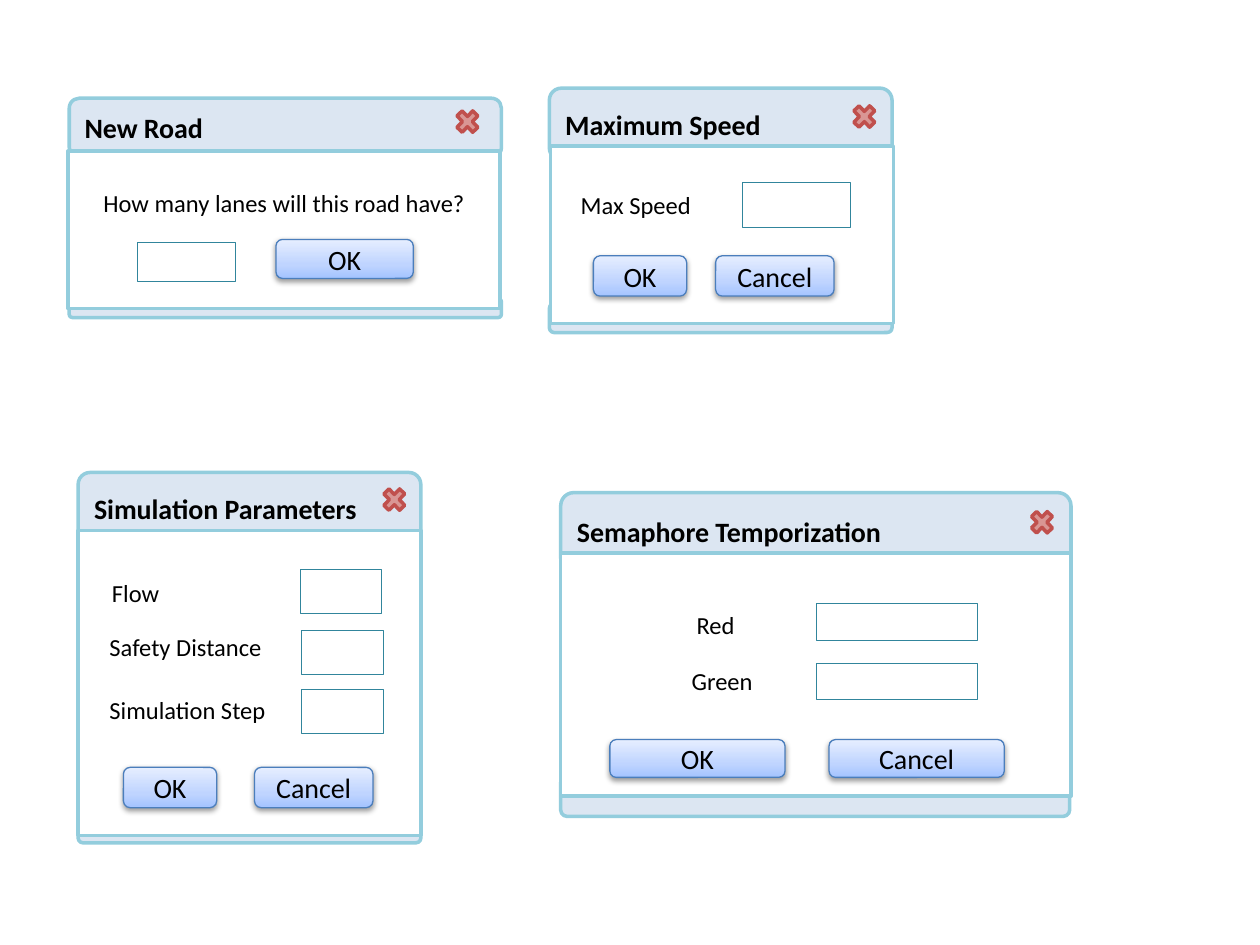
from copy import deepcopy
from dataclasses import dataclass, field

from pptx import Presentation
from pptx.dml.color import RGBColor
from pptx.enum.shapes import MSO_SHAPE
from pptx.enum.text import MSO_ANCHOR, MSO_AUTO_SIZE, PP_ALIGN
from pptx.oxml import parse_xml
from pptx.oxml.ns import nsdecls
from pptx.util import Inches, Pt

RECT, ROUND, CROSS = MSO_SHAPE.RECTANGLE, MSO_SHAPE.ROUNDED_RECTANGLE, MSO_SHAPE.MATH_MULTIPLY
LEFT, CENTER = PP_ALIGN.LEFT, PP_ALIGN.CENTER
TOP, MIDDLE = MSO_ANCHOR.TOP, MSO_ANCHOR.MIDDLE
FIT = MSO_AUTO_SIZE.SHAPE_TO_FIT_TEXT

COLORS = {
    "frame": "DCE6F2", "frame_line": "93CDDD", "white": "FFFFFF", "text": "000000",
    "field_line": "31859C", "button_line": "4B7EBC",
    "close": "D99694", "close_line": "C0504D",
}
BUTTON_STOPS = [(0, "A4C4FF"), (0.35, "BFD4FF"), (1, "E6EEFF")]
SHADOW = (
    f'<a:outerShdw {nsdecls("a")} blurRad="40000" dist="20000" dir="5400000" rotWithShape="0">'
    '<a:srgbClr val="000000"><a:alpha val="38000"/></a:srgbClr></a:outerShdw>'
)

Box = tuple[float, float, float, float]


@dataclass
class Dialog:
    """One dialog window; every box is left, top, width, height in inches."""
    title: str
    header: Box
    body: Box
    footer: Box
    close: tuple[float, float]
    fields: list[Box]
    buttons: list[tuple[str, Box]]
    labels: list[tuple[str, Box]] = field(default_factory=list)
    question: str = ""


DIALOGS = [
    Dialog("New Road", (0.55, 0.78, 3.43, 0.47), (0.54, 1.2, 3.43, 1.25),
           (0.55, 2.37, 3.43, 0.15), (3.59, 0.84),
           fields=[(1.09, 1.92, 0.78, 0.31)],
           buttons=[("OK", (2.19, 1.9, 1.09, 0.31))],
           question="How many lanes will this road have?"),
    Dialog("Simulation Parameters", (0.62, 3.75, 2.72, 0.57), (0.62, 4.21, 2.72, 2.42),
           (0.62, 6.46, 2.72, 0.23), (3.01, 3.84),
           fields=[(2.38, 4.52, 0.65, 0.35), (2.39, 5, 0.65, 0.35), (2.39, 5.47, 0.65, 0.35)],
           buttons=[("OK", (0.98, 6.09, 0.74, 0.32)), ("Cancel", (2.02, 6.09, 0.94, 0.32))],
           labels=[("Flow", (0.79, 4.54, 0.58, 0.34)),
                   ("Safety Distance", (0.77, 4.97, 1.42, 0.34)),
                   ("Simulation Step", (0.77, 5.47, 1.45, 0.34))]),
    Dialog("Maximum Speed", (4.36, 0.7, 2.72, 0.57), (4.37, 1.16, 2.72, 1.41),
           (4.36, 2.41, 2.72, 0.23), (6.74, 0.8),
           fields=[(5.89, 1.45, 0.86, 0.35)],
           buttons=[("OK", (4.71, 2.03, 0.74, 0.32)), ("Cancel", (5.68, 2.03, 0.94, 0.32))],
           labels=[("Max Speed", (4.51, 1.46, 1.08, 0.34))]),
    Dialog("Semaphore Temporization", (4.45, 3.91, 4.05, 0.62), (4.45, 4.39, 4.05, 1.93),
           (4.45, 6.16, 4.04, 0.32), (8.15, 4.02),
           fields=[(6.48, 4.79, 1.28, 0.29), (6.48, 5.26, 1.28, 0.29)],
           buttons=[("OK", (4.84, 5.87, 1.39, 0.3)), ("Cancel", (6.58, 5.87, 1.39, 0.3))],
           labels=[("Red", (5.43, 4.79, 0.51, 0.46)), ("Green", (5.39, 5.24, 0.69, 0.34))]),
]


def rgb(name: str) -> RGBColor:
    """Look up a named colour."""
    return RGBColor.from_string(COLORS[name])


def write(s, text: str, *, size: int = 14, bold: bool = False, align=LEFT,
          anchor=TOP, wrap: bool = True, margin_top: float = 0.05) -> None:
    """Put one formatted paragraph in a shape."""
    tf = s.text_frame
    tf.word_wrap = wrap
    tf.vertical_anchor = anchor
    tf.margin_top = Inches(margin_top)
    p = tf.paragraphs[0]
    p.alignment = align
    r = p.add_run()
    r.text = text
    r.font.name = "Calibri"
    r.font.size = Pt(size)
    r.font.bold = bold
    r.font.color.rgb = rgb("text")


def add_box(shapes, kind, box: Box, fill: str, line: str, width: float):
    """Add a filled and outlined preset shape."""
    s = shapes.add_shape(kind, *map(Inches, box))
    s.shadow.inherit = False
    s.fill.solid()
    s.fill.fore_color.rgb = rgb(fill)
    s.line.color.rgb = rgb(line)
    s.line.width = Pt(width)
    return s


def add_button(shapes, text: str, box: Box) -> None:
    """Add a shaded push button with a soft shadow."""
    s = add_box(shapes, ROUND, box, "white", "button_line", 0.75)
    s.fill.gradient()
    s.fill.gradient_angle = 90
    stop_list = s._element.xpath("./p:spPr/a:gradFill/a:gsLst")[0]
    stop_list.append(deepcopy(stop_list[0]))
    for stop, (position, color) in zip(s.fill.gradient_stops, BUTTON_STOPS):
        stop.position = position
        stop.color.rgb = RGBColor.from_string(color)
    s._element.xpath("./p:spPr/a:effectLst")[0].append(parse_xml(SHADOW))
    write(s, text, size=16, align=CENTER, anchor=MIDDLE)


def add_label(shapes, text: str, box: Box) -> None:
    """Add a one-line field label."""
    s = shapes.add_textbox(*map(Inches, box))
    write(s, text, wrap=False)
    s.text_frame.auto_size = FIT


def add_dialog(slide, d: Dialog) -> None:
    """Draw a dialog window as one group."""
    shapes = slide.shapes.add_group_shape().shapes
    add_box(shapes, ROUND, d.footer, "frame", "frame_line", 2)
    header = add_box(shapes, ROUND, d.header, "frame", "frame_line", 2)
    write(header, d.title, size=16, bold=True, anchor=MIDDLE)
    body = add_box(shapes, RECT, d.body, "white", "frame_line", 2)
    if d.question:
        write(body, d.question, align=CENTER, margin_top=0.29)
    add_box(shapes, CROSS, (*d.close, 0.24, 0.25), "close", "close_line", 2)
    for box in d.fields:
        add_box(shapes, RECT, box, "white", "field_line", 0.25)
    for text, box in d.buttons:
        add_button(shapes, text, box)
    for text, box in d.labels:
        add_label(shapes, text, box)


prs = Presentation()
prs.slide_width, prs.slide_height = Inches(10), Inches(7.5)
slide = prs.slides.add_slide(prs.slide_layouts[6])
for dialog in DIALOGS:
    add_dialog(slide, dialog)
prs.save("out.pptx")
